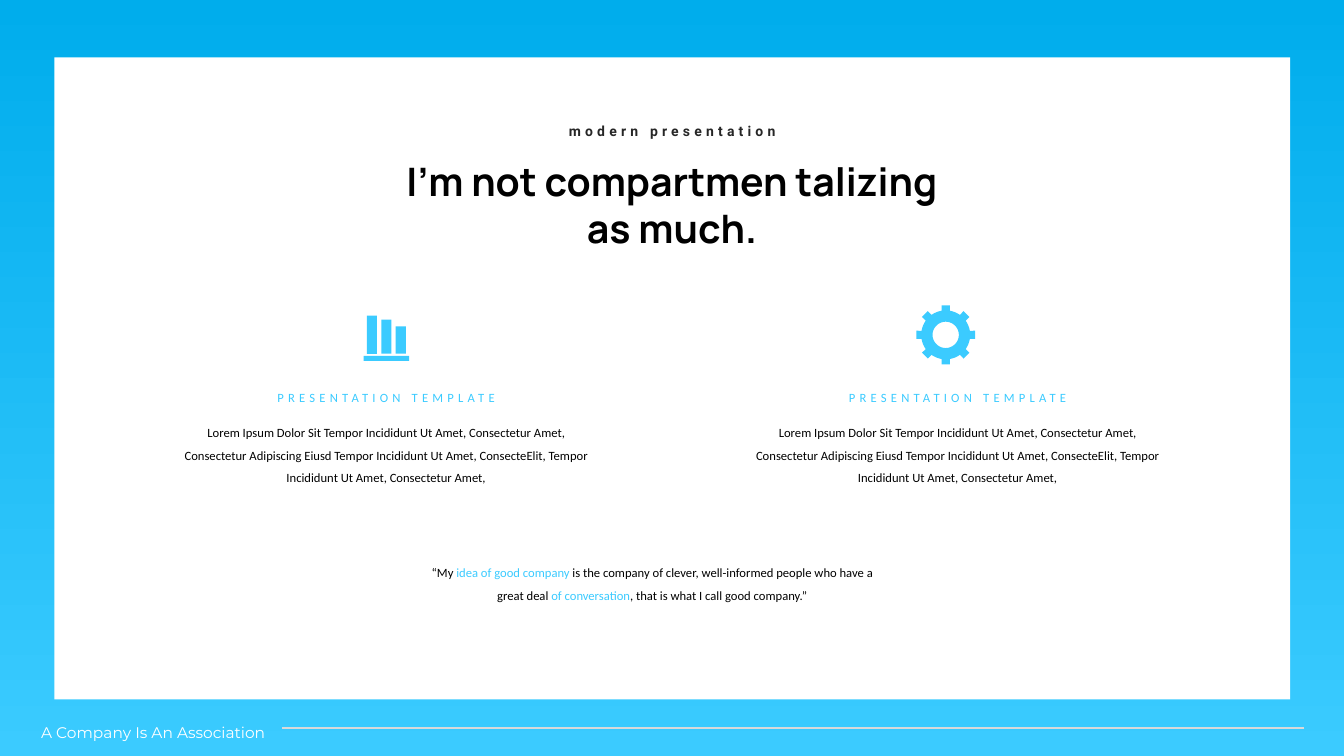
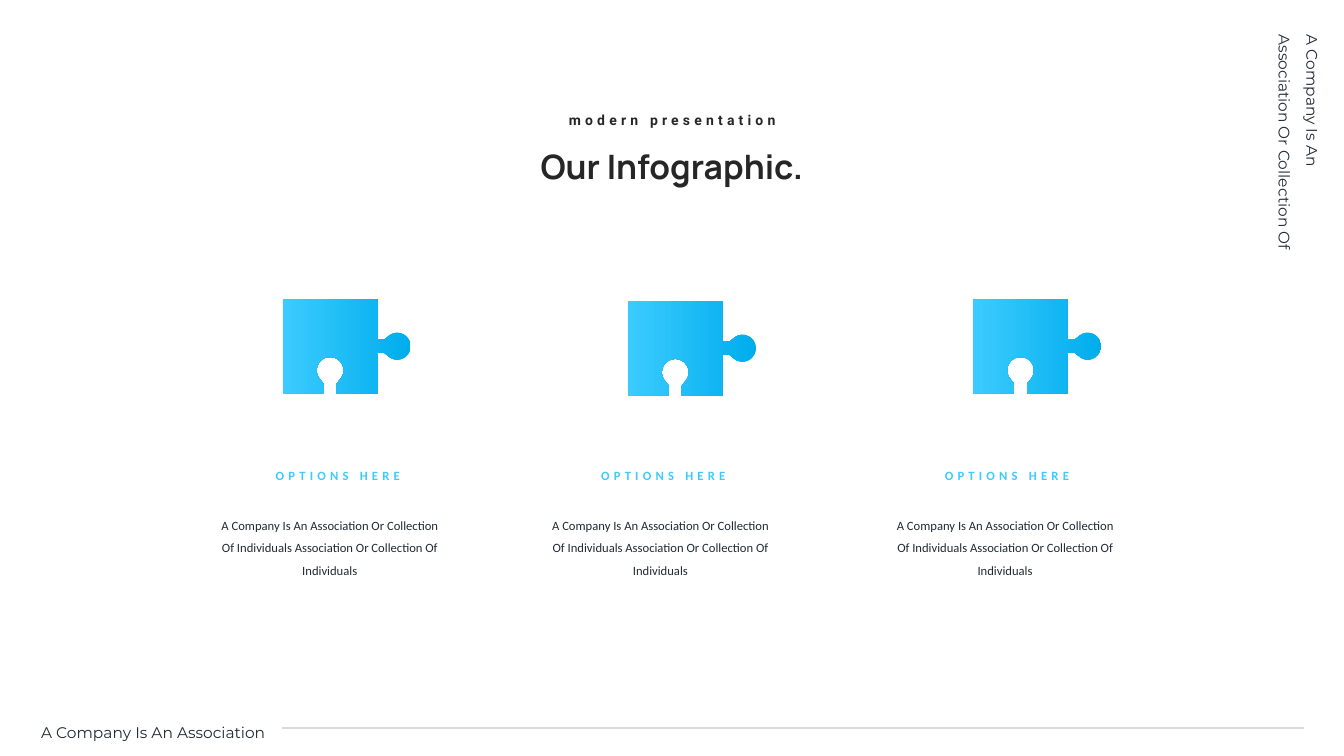
"""Build a two-slide deck: a framed quote slide and a puzzle infographic."""
import math
from dataclasses import dataclass, field, replace
from typing import Any, NamedTuple

import lxml.etree
import pptx
import pptx.dml.color
import pptx.enum.dml
import pptx.enum.shapes
import pptx.enum.text
import pptx.oxml.ns
import pptx.util

Pt = pptx.util.Pt
CENTER = pptx.enum.text.PP_ALIGN.CENTER
LEFT = pptx.enum.text.PP_ALIGN.LEFT
COLOURS = {
    "deep": "00ADEC", "sky": "3BCBFF", "white": "FFFFFF", "black": "000000",
    "charcoal": "262626", "navy": "222A35", "rule": "D9D9D9",
}
Point = tuple[float, float]


class Box(NamedTuple):
    """Left, top, width and height in points."""
    left: float
    top: float
    width: float
    height: float


class Option(NamedTuple):
    """Left edges of one option's parts and the top of its puzzle piece."""
    piece_left: float
    piece_top: float
    caption_left: float
    body_left: float


@dataclass(frozen=True)
class Style:
    """Format values of a text box."""
    colour: str
    font: dict[str, Any]
    paragraph: dict[str, Any] = field(default_factory=lambda: {"alignment": CENTER})
    frame: dict[str, Any] = field(default_factory=dict)
    tracking: int = 0


SPACED = {"alignment": CENTER, "line_spacing": 1.5}
BODY = Style("black", {"name": "Calibri", "size": Pt(9)}, SPACED)
FEATURE = replace(BODY, colour="sky", tracking=3)
OPTION_CAPTION = Style(
    "sky", {"name": "Calibri", "size": Pt(9), "bold": True},
    {"alignment": CENTER, "space_after": Pt(12)},
    {"margin_left": 0, "margin_top": 0, "margin_right": 0, "margin_bottom": 0,
     "vertical_anchor": pptx.enum.text.MSO_ANCHOR.MIDDLE}, 3)
FOOTER = Style("navy", {"name": "Montserrat", "size": Pt(11)},
               {"alignment": LEFT, "line_spacing": 1.5})
KICKER = Style("charcoal", {"name": "Roboto", "size": Pt(10), "bold": True}, tracking=3)
TITLE = Style("black", {"name": "Manrope", "size": Pt(28), "bold": True})

LOREM = ("Lorem Ipsum Dolor Sit Tempor Incididunt Ut Amet, Consectetur Amet, "
         "Consectetur Adipiscing Eiusd Tempor Incididunt Ut Amet, ConsecteElit, "
         "Tempor Incididunt Ut Amet, Consectetur Amet,")
COMPANY = ("A Company Is An Association Or Collection Of Individuals "
           "Association Or Collection Of Individuals")
QUOTE = [
    ("“My ", "black"), ("idea of good company ", "sky"),
    ("is the company of clever, well-informed people who have a great deal ", "black"),
    ("of conversation", "sky"), (", that is what I call good company.”", "black"),
]
OPTIONS = [
    Option(213.8, 201.6, 178.6, 149.8),
    Option(460.4, 203, 411.1, 386),
    Option(707, 201.6, 656.6, 632.2),
]


def rgb(colour: str) -> pptx.dml.color.RGBColor:
    """Return a named colour."""
    return pptx.dml.color.RGBColor.from_string(COLOURS[colour])


def apply(target: Any, values: dict[str, Any]) -> None:
    """Set attributes from a dict of format values."""
    for name, value in values.items():
        setattr(target, name, value)


def write(slide: Any, box: Box, text: str | list[tuple[str, str]], style: Style) -> Any:
    """Add a wrapped text box; text may be a list of coloured runs."""
    area = slide.shapes.add_textbox(*map(Pt, box))
    frame = area.text_frame
    apply(frame, {"word_wrap": True,
                  "auto_size": pptx.enum.text.MSO_AUTO_SIZE.SHAPE_TO_FIT_TEXT,
                  **style.frame})
    paragraph = frame.paragraphs[0]
    apply(paragraph, style.paragraph)
    for words, colour in [(text, style.colour)] if isinstance(text, str) else text:
        run = paragraph.add_run()
        run.text = words
        apply(run.font, style.font)
        run.font.color.rgb = rgb(colour)
        if style.tracking:
            run._r.get_or_add_rPr().set("spc", str(style.tracking * 100))
    return area


def paint(shape: Any, *colours: str) -> None:
    """Fill a shape with one colour, or a top-to-bottom gradient of two."""
    shape.shadow.inherit = False
    shape.line.fill.background()
    if len(colours) == 1:
        shape.fill.solid()
        shape.fill.fore_color.rgb = rgb(colours[0])
        return
    shape.fill.gradient()
    shape.fill.gradient_angle = 270
    for stop, colour in zip(shape.fill.gradient_stops, colours):
        stop.color.rgb = rgb(colour)


def block(slide: Any, box: Box, *colours: str) -> None:
    """Add a filled rectangle."""
    kind = pptx.enum.shapes.MSO_SHAPE.RECTANGLE
    paint(slide.shapes.add_shape(kind, *map(Pt, box)), *colours)


def outline(slide: Any, *contours: list[Point]) -> Any:
    """Add a freeform of closed contours."""
    scaled = [[(Pt(x), Pt(y)) for x, y in contour] for contour in contours]
    builder = slide.shapes.build_freeform(*scaled[0][0])
    builder.add_line_segments(scaled[0][1:], close=True)
    for contour in scaled[1:]:
        builder.move_to(*contour[0])
        builder.add_line_segments(contour[1:], close=True)
    return builder.convert_to_shape()


def polar(x: float, y: float, radius: float, degrees: float) -> Point:
    """Return a point on a circle."""
    angle = math.radians(degrees)
    return x + radius * math.cos(angle), y + radius * math.sin(angle)


def gear(slide: Any, x: float, y: float) -> None:
    """Draw a gear with eight teeth and a round hole."""
    profile = [(17.5, -9.6), (21.2, -8), (21.2, 8), (17.5, 9.6),
               (17.5, 16), (17.5, 22.5), (17.5, 29)]
    rim = [polar(x, y, radius, tooth * 45 + turn)
           for tooth in range(8) for radius, turn in profile]
    hole = [polar(x, y, 9.4, -turn) for turn in range(0, 360, 10)]
    paint(outline(slide, rim, hole), "sky")


def bars(slide: Any, left: float, top: float) -> None:
    """Draw three falling bars on a base line."""
    block(slide, Box(left, top + 28.8, 32.4, 3.6), "sky")
    for index, drop in enumerate([0, 3, 7.7]):
        block(slide, Box(left + 2.3 + 10.3 * index, top + drop, 7.2, 27.3 - drop), "sky")


def lobe(depth: float) -> list[Point]:
    """Return (along, out) offsets of a necked round lobe from an edge."""
    neck, radius = 4.7, 9.6
    arc = [polar(depth, 0, radius, turn) for turn in range(-125, 126, 10)]
    return [(-neck, 0), (-neck, depth - 9.5), *((along, out) for out, along in arc),
            (neck, depth - 9.5), (neck, 0)]


def puzzle_piece(slide: Any, left: float, top: float) -> None:
    """Draw a square with a knob on top and a notch at right, turned clockwise."""
    side, edge = 67.7, top + 23.8
    right, bottom = left + side, edge + side
    knob = [(left + side / 2 + along, edge - out) for along, out in lobe(14.2)]
    notch = [(right - out, edge + side / 2 + along) for along, out in lobe(16.6)]
    piece = outline(slide, [(left, edge), *knob, (right, edge), *notch,
                            (right, bottom), (left, bottom)])
    piece.rotation = 90
    paint(piece, "deep", "sky")


def heading(slide: Any, text: str, top: float, height: float, style: Style) -> None:
    """Add the kicker and the title."""
    write(slide, Box(386.6, top - 24.5, 187.2, 19.4), "modern presentation", KICKER)
    write(slide, Box(283, top, 393.8, height), text, style)


def footer(slide: Any, colour: str) -> None:
    """Add the footer text and its rule."""
    write(slide, Box(22.3, 506.2, 313.9, 25.2), "A Company Is An Association",
          replace(FOOTER, colour=colour))
    rule = slide.shapes.add_connector(pptx.enum.shapes.MSO_CONNECTOR.STRAIGHT,
                                      Pt(931.7), Pt(519.8), Pt(201.6), Pt(519.8))
    rule.line.color.rgb = rgb("rule")
    rule.line.width = Pt(1.5)
    lxml.etree.SubElement(rule._element.spPr, pptx.oxml.ns.qn("a:effectLst"))


def quote_slide(slide: Any) -> None:
    """Fill the framed slide with two features and a quote."""
    block(slide, Box(0, 0, 960, 540), "deep", "sky")
    block(slide, Box(38.9, 41, 882.7, 458.6), "white")
    heading(slide, "I'm not compartmen talizing as much.", 108.7, 74.9, TITLE)
    bars(slide, 259.8, 225.4)
    gear(slide, 675.5, 239.2)
    for left in (122.4, 530.6):
        write(slide, Box(left, 269.3, 306.7, 23.8), "PRESENTATION TEMPLATE", FEATURE)
        write(slide, Box(left, 294.5, 306.7, 56.2), LOREM, BODY)
    write(slide, Box(294.5, 394.6, 342.7, 40.3), QUOTE, BODY)
    footer(slide, "white")


def infographic_slide(slide: Any) -> None:
    """Fill the slide with three puzzle options."""
    heading(slide, "Our Infographic.", 100.8, 36,
            replace(TITLE, colour="charcoal", font={**TITLE.font, "size": Pt(24)}))
    for option in OPTIONS:
        puzzle_piece(slide, option.piece_left, option.piece_top)
        write(slide, Box(option.caption_left, 334.1, 125.3, 10.8),
              "OPTIONS HERE", OPTION_CAPTION)
        write(slide, Box(option.body_left, 360.7, 171.4, 56.2), COMPANY,
              replace(BODY, colour="navy"))
    side_note = write(slide, Box(845.3, 82.1, 173.5, 44.6),
                      "A Company Is An Association Or Collection Of", FOOTER)
    side_note.rotation = 90
    footer(slide, "navy")


def main() -> None:
    """Build and save the deck."""
    deck = pptx.Presentation()
    apply(deck, {"slide_width": Pt(960), "slide_height": Pt(540)})
    for fill_slide in (quote_slide, infographic_slide):
        fill_slide(deck.slides.add_slide(deck.slide_layouts[6]))
    deck.save("out.pptx")


main()
